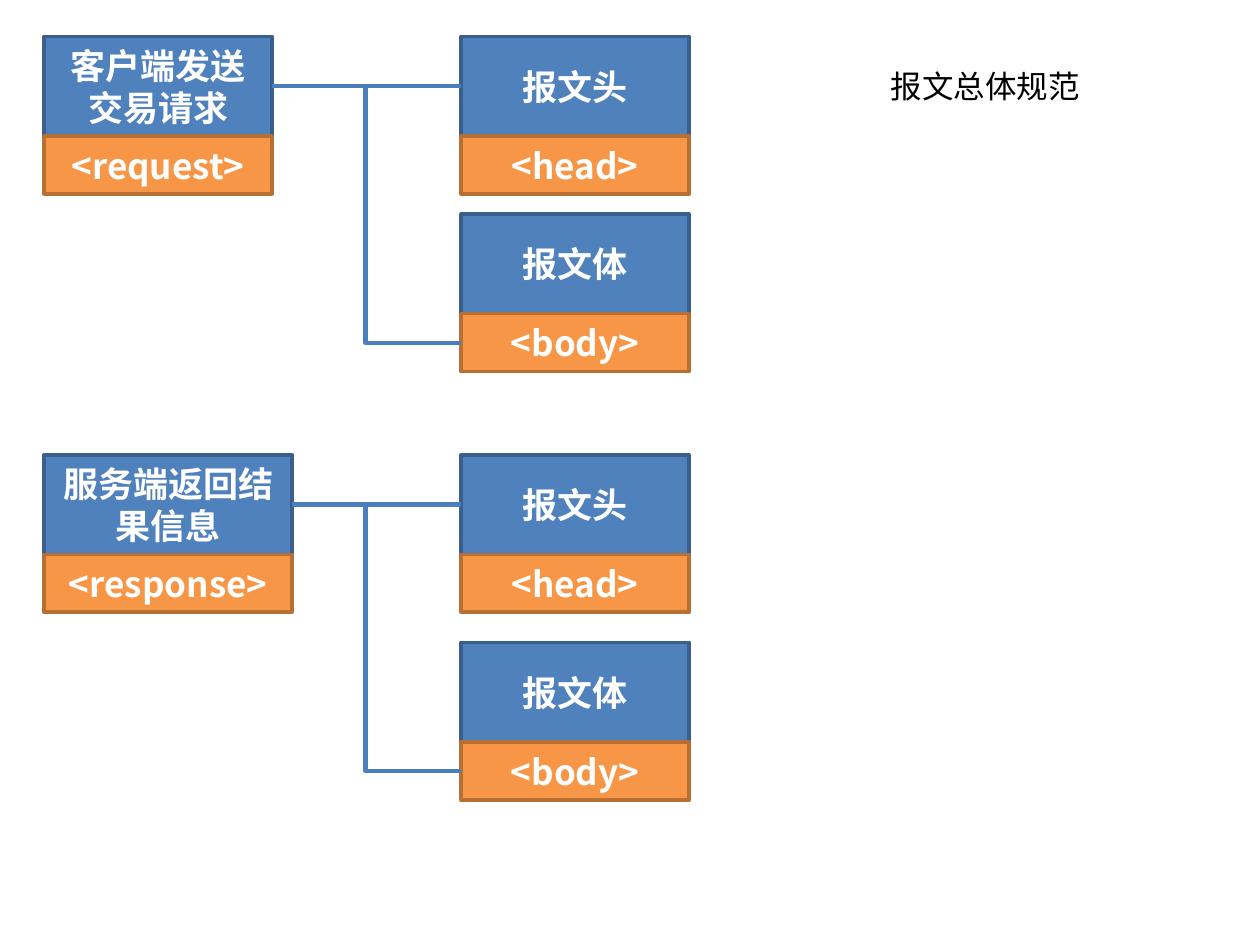
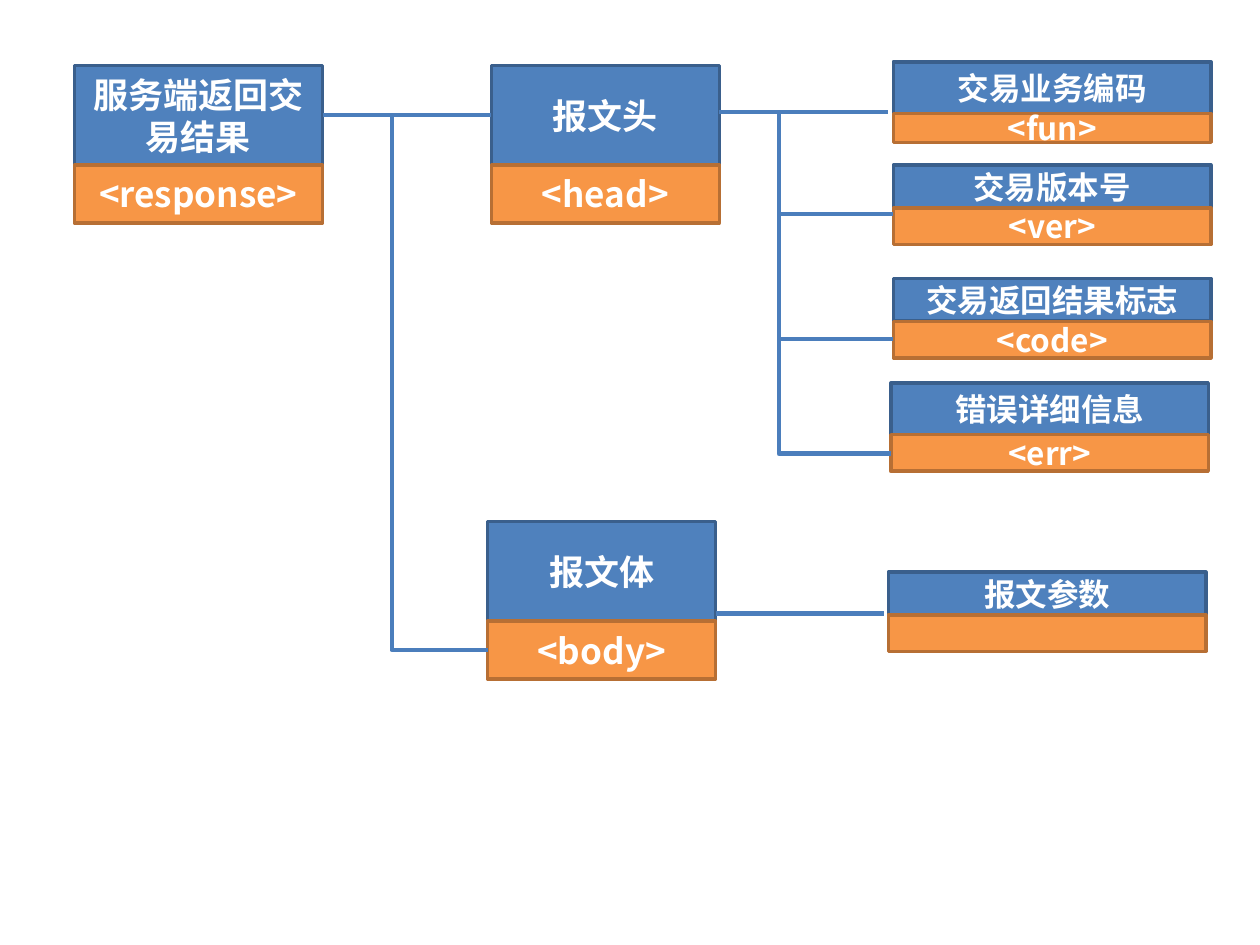
from lxml import etree
from pptx import Presentation
from pptx.dml.color import RGBColor
from pptx.enum.shapes import MSO_CONNECTOR, MSO_SHAPE
from pptx.enum.text import MSO_ANCHOR, MSO_AUTO_SIZE, PP_ALIGN
from pptx.oxml.ns import qn
from pptx.util import Inches, Pt

RECT = MSO_SHAPE.RECTANGLE
STRAIGHT, ELBOW = MSO_CONNECTOR.STRAIGHT, MSO_CONNECTOR.ELBOW
MIDDLE, CENTER = MSO_ANCHOR.MIDDLE, PP_ALIGN.CENTER
FIT_SHAPE = MSO_AUTO_SIZE.SHAPE_TO_FIT_TEXT

BLUE = RGBColor(0x4F, 0x81, 0xBD)
BLUE_EDGE = RGBColor(0x3A, 0x5F, 0x8C)
ORANGE = RGBColor(0xF7, 0x96, 0x46)
ORANGE_EDGE = RGBColor(0xB7, 0x6F, 0x34)
LINK = RGBColor(0x4B, 0x7E, 0xBC)
WHITE = RGBColor(0xFF, 0xFF, 0xFF)
BLACK = RGBColor(0, 0, 0)

CARD_FONT, NOTE_FONT = "Noto Sans CJK SC", "Calibri"
BLANK_LAYOUT = 6
LABEL_H, TAG_H = 0.79, 0.46
NODE_W, ROOT_W, FIELD_W = 1.81, 1.97, 2.52


class Deck:
    """Message-structure diagrams: the style and the current slide."""

    def __init__(self):
        """Start a 10 by 7.5 inch presentation."""
        self.prs = Presentation()
        self.prs.slide_width, self.prs.slide_height = Inches(10), Inches(7.5)
        self.s = None

    def slide(self):
        """Add a blank slide and make it current."""
        self.s = self.prs.slides.add_slide(self.prs.slide_layouts[BLANK_LAYOUT])

    def box(self, shapes, x, y, w, h, text, size, fill, edge):
        """Draw one outlined rectangle with bold centred text."""
        sp = shapes.add_shape(RECT, Inches(x), Inches(y), Inches(w), Inches(h))
        sp.shadow.inherit = False
        sp.fill.solid()
        sp.fill.fore_color.rgb = fill
        sp.line.color.rgb = edge
        sp.line.width = Pt(2)
        tf = sp.text_frame
        tf.word_wrap = True
        tf.vertical_anchor = MIDDLE
        p = tf.paragraphs[0]
        p.text = text
        p.alignment = CENTER
        self.font(p, CARD_FONT, size, WHITE, True)

    def font(self, p, name, size, color, bold=False):
        """Set the font of a whole paragraph."""
        p.font.name = name
        p.font.size = Pt(size)
        p.font.bold = bold
        p.font.color.rgb = color

    def card(self, x, y, label, tag, w=NODE_W, label_h=LABEL_H, tag_h=TAG_H,
             size=20, shapes=None):
        """Stack a blue label on an orange tag."""
        shapes = shapes or self.s.shapes
        self.box(shapes, x, y, w, label_h, label, size, BLUE, BLUE_EDGE)
        self.box(shapes, x, y + label_h, w, tag_h, tag, size, ORANGE, ORANGE_EDGE)

    def field(self, x, y, label, tag, label_h=0.34, tag_h=0.29):
        """Draw a grouped, smaller card for one message field."""
        group = self.s.shapes.add_group_shape()
        self.card(x, y, label, tag, FIELD_W, label_h, tag_h, 18, group.shapes)

    def connector(self, kind, x1, y1, x2, y2):
        """Draw a connector without shadow and return it."""
        c = self.s.shapes.add_connector(kind, Inches(x1), Inches(y1),
                                        Inches(x2), Inches(y2))
        c.line.color.rgb = LINK
        c.line.width = Pt(2.5)
        etree.SubElement(c._element.spPr, qn("a:effectLst"))
        return c

    def line(self, x1, x2, y):
        """Draw a level line."""
        self.connector(STRAIGHT, x1, y, x2, y)

    def branch(self, x1, y1, x2, y2):
        """Draw a link that goes down, then right."""
        cx, cy = (x1 + x2) / 2, (y1 + y2) / 2
        dx, dy = (y2 - y1) / 2, (x2 - x1) / 2  # a quarter turn swaps the sides
        c = self.connector(ELBOW, cx + dx, cy - dy, cx - dx, cy + dy)
        spPr = c._element.spPr
        spPr.find(qn("a:xfrm")).set("rot", "16200000")
        spPr.find(qn("a:prstGeom")).set("prst", "bentConnector2")

    def note(self, x, y, w, h, text):
        """Write plain text that does not wrap."""
        tf = self.s.shapes.add_textbox(Inches(x), Inches(y),
                                       Inches(w), Inches(h)).text_frame
        tf.word_wrap = False
        tf.auto_size = FIT_SHAPE
        p = tf.paragraphs[0]
        p.text = text
        self.font(p, NOTE_FONT, 18, BLACK)


def overview_slide(deck):
    """Request and response, each with a head and a body."""
    deck.slide()
    root_x, node_x, trunk_x = 0.35, 3.66, 2.9
    messages = [
        (0.29, 1.7, "客户端发送交易请求", "<request>", NODE_W),
        (3.61, 5.1, "服务端返回结果信息", "<response>", ROOT_W),
    ]
    for y, body_y, label, tag, w in messages:
        link_y = y + LABEL_H / 2
        deck.card(root_x, y, label, tag, w)
        deck.card(node_x, y, "报文头", "<head>")
        deck.card(node_x, body_y, "报文体", "<body>")
        deck.line(root_x + w, node_x, link_y)
        deck.branch(trunk_x, link_y, node_x, body_y + LABEL_H + TAG_H / 2)
    deck.note(6.97, 0.48, 1.72, 0.4, "报文总体规范")


def response_slide(deck):
    """The response with the fields of its head and body."""
    deck.slide()
    root_x, head_x, body_x, field_x = 0.59, 3.9, 3.87, 7.09
    top, body_y, trunk_x = 0.52, 4.14, 6.18
    link_y, field_link_y = top + LABEL_H / 2, 0.89
    deck.card(root_x, top, "服务端返回交易结果", "<response>", ROOT_W)
    deck.card(head_x, top, "报文头", "<head>")
    deck.card(body_x, body_y, "报文体", "<body>")
    deck.field(field_x, 0.49, "交易业务编码", "<fun>", 0.41, 0.23)
    deck.field(field_x, 1.31, "交易版本号", "<ver>")
    deck.field(field_x, 2.21, "交易返回结果标志", "<code>")
    deck.field(7.07, 3.04, "错误详细信息", "<err>", 0.41)
    deck.card(7.05, 4.54, "报文参数", "", FIELD_W, 0.34, 0.29, 18)

    deck.line(root_x + ROOT_W, head_x, link_y)
    deck.line(head_x + NODE_W, 7.05, field_link_y)
    deck.line(body_x + NODE_W, 7.02, 4.87)
    deck.branch(3.11, link_y, body_x, body_y + LABEL_H + TAG_H / 2)
    for x, y in [(field_x, 1.7), (field_x, 2.69), (7.07, 3.6)]:
        deck.branch(trunk_x, field_link_y, x, y)


deck = Deck()
overview_slide(deck)
response_slide(deck)
deck.prs.save("out.pptx")
